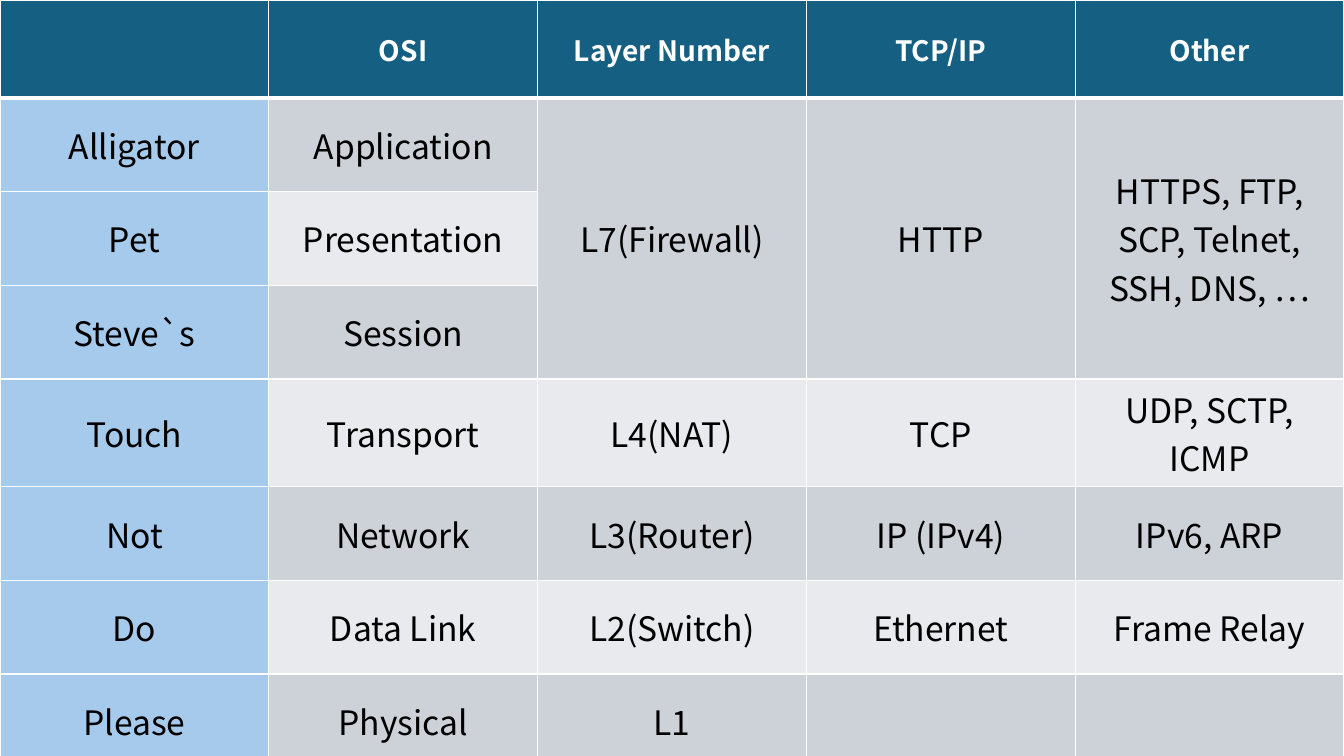
from lxml.etree import SubElement as Sub
from pptx import Presentation
from pptx.dml.color import RGBColor as RGB
from pptx.enum.text import MSO_ANCHOR as Anchor, PP_ALIGN as Align
from pptx.oxml.ns import qn
from pptx.util import Inches, Pt

# Content
HEAD = ["", "OSI", "Layer Number", "TCP/IP", "Other"]
BODY = [
    ["Alligator", "Application", "L7(Firewall)", "HTTP",
     "HTTPS, FTP, SCP, Telnet, SSH, DNS, …"],
    ["Pet", "Presentation", "", "", ""],
    ["Steve`s", "Session", "", "", ""],
    ["Touch", "Transport", "L4(NAT)", "TCP", "UDP, SCTP, ICMP"],
    ["Not", "Network", "L3(Router)", "IP (IPv4)", "IPv6, ARP"],
    ["Do", "Data Link", "L2(Switch)", "Ethernet", "Frame Relay"],
    ["Please", "Physical", "L1", "", ""],
]
ROWS = [HEAD] + BODY
HIGH = [0.97, 0.93, 0.93, 0.93, 0.96, 0.93, 0.93, 0.93]
WIDE, TALL = 13.33, 7.5
FONT = "Noto Sans CJK KR"
COLOR = {"head": "156082", "key": "A6CAEC", "odd": "CCD2D8",
         "even": "E8EAED", "line": "FFFFFF", "light": "FFFFFF",
         "dark": "000000"}


def border(cell, side, width):
    """Draw one side of a cell as a solid line."""
    line = Sub(cell._tc.get_or_add_tcPr(), qn("a:ln" + side), w=str(Pt(width)))
    fill = Sub(line, qn("a:solidFill"))
    Sub(fill, qn("a:srgbClr"), val=COLOR["line"])


def tint(row, col):
    """Pick the fill: header, mnemonic column, or banded row."""
    if row == 0:
        return COLOR["head"]
    if col == 0:
        return COLOR["key"]
    return COLOR["odd" if row % 2 else "even"]


def style(cell, row, col):
    """Set borders, fill and text of one cell."""
    for side in "LRTB":
        thick = (row == 0 and side == "B") or (row == 1 and side == "T")
        border(cell, side, 3 if thick else 1)
    cell.fill.solid()
    cell.fill.fore_color.rgb = RGB.from_string(tint(row, col))
    cell.vertical_anchor = Anchor.MIDDLE
    cell.text_frame.text = ROWS[row][col]
    para = cell.text_frame.paragraphs[0]
    para.alignment = Align.CENTER
    for run in para.runs:
        font = run.font
        font.name = FONT
        font.size = Pt(24 if row else 20)
        font.bold = row == 0
        font.color.rgb = RGB.from_string(COLOR["dark" if row else "light"])


def main():
    deck = Presentation()
    deck.slide_width, deck.slide_height = Inches(WIDE), Inches(TALL)
    slide = deck.slides.add_slide(deck.slide_layouts[6])

    # Table grid
    count = len(HEAD)
    table = slide.shapes.add_table(len(ROWS), count, 0, 0,
                                   Inches(WIDE), Inches(TALL)).table
    for col in table.columns:
        col.width = Inches(WIDE / count)
    for row, high in zip(table.rows, HIGH):
        row.height = Inches(high)

    # Cells
    for row in range(len(ROWS)):
        for col in range(count):
            style(table.cell(row, col), row, col)

    # The top three layers share one cell in the last columns
    for col in range(2, count):
        table.cell(1, col).merge(table.cell(3, col))

    deck.save("out.pptx")


if __name__ == "__main__":
    main()
